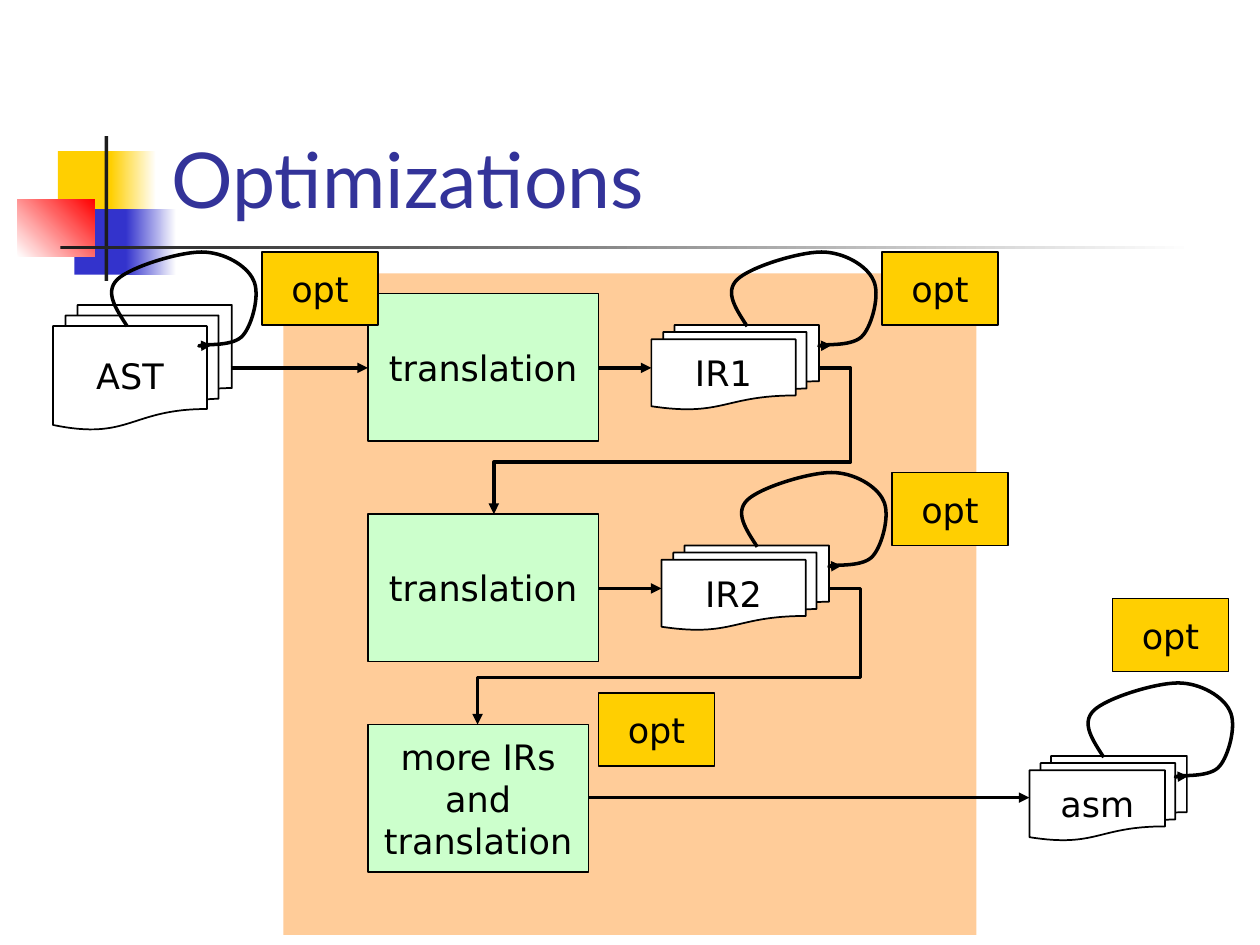
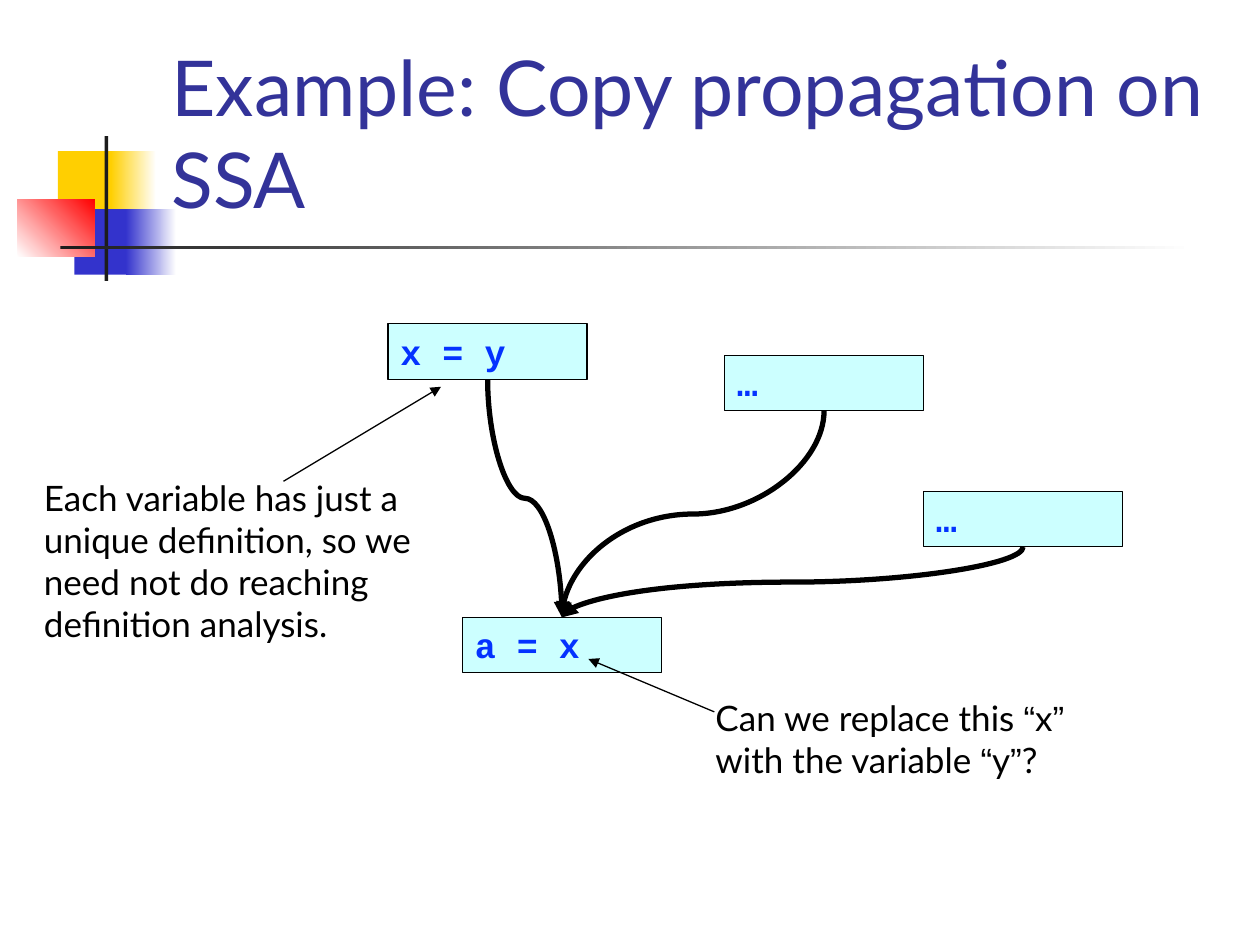
from dataclasses import dataclass
from typing import Any

from lxml.etree import SubElement
from pptx import Presentation
from pptx.dml.color import RGBColor
from pptx.enum.shapes import MSO_CONNECTOR, MSO_SHAPE
from pptx.enum.text import MSO_ANCHOR, MSO_AUTO_SIZE, PP_ALIGN
from pptx.oxml.ns import qn
from pptx.util import Inches, Pt

HUES = {
    "gold": "FFCF01", "blue": "3333CC", "red": "FF0000", "dark": "1C1C1C",
    "white": "FFFFFF", "black": "000000", "title": "333399",
    "panel": "FFCC99", "step": "CCFFCC", "code": "CCFFFF", "ink": "0432FF",
}
BODY, LABEL, MONO, QUOTE = "Lato", "DejaVu Sans", "Courier New", "Arial"

# Self-loop: start point, then three points for each Bezier piece
LOOP = [
    (0.18, 0.59),
    (0.09, 0.45), (0, 0.32), (0.1, 0.22),
    (0.2, 0.12), (0.59, 0), (0.77, 0),
    (0.95, 0), (1.13, 0.11), (1.18, 0.22),
    (1.24, 0.33), (1.17, 0.58), (1.1, 0.66),
    (1.03, 0.75), (0.81, 0.73), (0.77, 0.74),
    (0.73, 0.75), (0.79, 0.74), (0.85, 0.74),
]


def rgb(name):
    return RGBColor.from_string(HUES[name])


def write(frame, runs, hue, size=20, bold=False):
    """Fill the first paragraph with (text, font) runs."""
    para = frame.paragraphs[0]
    for text, face in runs:
        run = para.add_run()
        run.text = text
        run.font.name = face
        run.font.size = Pt(size)
        run.font.bold = bold
        run.font.color.rgb = rgb(hue)
    return para


def stroke(item, width, arrow=True):
    """Black line with an optional arrowhead at its end."""
    item.line.color.rgb = rgb("black")
    item.line.width = Pt(width)
    if arrow:
        SubElement(item.line._get_or_add_ln(), qn("a:tailEnd"), type="triangle")


@dataclass
class Area:
    """A region of a slide; all places are inches from its corner."""
    slide: Any
    left: float
    top: float

    def spot(self, x, y):
        return Inches(self.left + x), Inches(self.top + y)

    def shape(self, kind, x, y, w, h, fill=None, line=None):
        item = self.slide.shapes.add_shape(
            kind, *self.spot(x, y), Inches(w), Inches(h))
        item.shadow.inherit = False
        if fill:
            item.fill.solid()
            item.fill.fore_color.rgb = rgb(fill)
        else:
            item.fill.background()
        if line:
            stroke(item, line, arrow=False)
        else:
            item.line.fill.background()
        return item

    def fade(self, x, y, w, h, start, end, angle=0):
        item = self.shape(MSO_SHAPE.RECTANGLE, x, y, w, h)
        item.fill.gradient()
        item.fill.gradient_angle = angle
        for stop, hue, pos in zip(item.fill.gradient_stops, (start, end), (0, 1)):
            stop.color.rgb = rgb(hue)
            stop.position = pos

    def node(self, kind, text, x, y, w, h, fill=None):
        item = self.shape(kind, x, y, w, h, fill, 1)
        frame = item.text_frame
        frame.word_wrap = True
        frame.vertical_anchor = MSO_ANCHOR.MIDDLE
        write(frame, [(text, LABEL)], "black").alignment = PP_ALIGN.CENTER

    def note(self, x, y, w, h, runs):
        box = self.slide.shapes.add_textbox(
            *self.spot(x, y), Inches(w), Inches(h))
        box.text_frame.word_wrap = True
        write(box.text_frame, runs, "black")

    def link(self, start, end, width, kind=MSO_CONNECTOR.STRAIGHT):
        item = self.slide.shapes.add_connector(
            kind, *self.spot(*start), *self.spot(*end))
        stroke(item, width)
        SubElement(item._element.spPr, qn("a:effectLst"))
        return item

    def bend(self, start, end, *turns):
        """Elbow with two adjustable turns."""
        item = self.link(start, end, 2, MSO_CONNECTOR.ELBOW)
        geom = item._element.spPr.find(qn("a:prstGeom"))
        geom.set("prst", "bentConnector4")
        marks = geom.find(qn("a:avLst"))
        if marks is None:
            marks = SubElement(geom, qn("a:avLst"))
        for num, turn in enumerate(turns, 1):
            SubElement(marks, qn("a:gd"), name=f"adj{num}", fmla=f"val {turn}")

    def curve(self, start, end):
        """Curve that leaves and arrives vertically: a turned connector."""
        (x1, y1), (x2, y2) = start, end
        mid_x, mid_y = (x1 + x2) / 2, (y1 + y2) / 2
        side = 1 if x2 < x1 else -1
        dx, dy = side * (y2 - y1) / 2, abs(x2 - x1) / 2
        item = self.link((mid_x - dx, mid_y - dy), (mid_x + dx, mid_y + dy),
                         3, MSO_CONNECTOR.CURVE)
        turn = 90 if side == 1 else 270
        item._element.spPr.find(qn("a:xfrm")).set("rot", str(turn * 60000))

    def loop(self, x, y):
        dots = [self.spot(x + px, y + py) for px, py in LOOP]
        form = self.slide.shapes.build_freeform(*dots[0])
        form.add_line_segments(dots[1:], close=False)
        item = form.convert_to_shape()
        item.shadow.inherit = False
        item.fill.background()
        stroke(item, 2)
        # Join each three straight steps into one Bezier piece
        steps = list(item._element.iter(qn("a:lnTo")))
        for num in range(0, len(steps), 3):
            trio = steps[num:num + 3]
            piece = trio[0].makeelement(qn("a:cubicBezTo"))
            trio[0].addprevious(piece)
            for step in trio:
                piece.append(step[0])
                step.getparent().remove(step)


def decor(slide, layout):
    """Draw the colour blocks and rules, then share them on the layout."""
    area = Area(slide, 0.14, 1.08)
    count = len(slide.shapes)
    rect = MSO_SHAPE.RECTANGLE
    area.shape(rect, 0.32, 0.12, 0.48, 0.52, "gold")
    area.fade(0.74, 0.12, 0.36, 0.52, "gold", "white")
    area.shape(rect, 0.45, 0.58, 0.46, 0.52, "blue")
    area.fade(0.86, 0.58, 0.4, 0.52, "blue", "white")
    area.fade(0, 0.5, 0.61, 0.46, "white", "red", 45)
    area.shape(rect, 0.69, 0, 0.03, 1.15, "dark")
    area.fade(0.34, 0.87, 9, 0.03, "dark", "white")
    for item in list(slide.shapes)[count:]:
        layout.shapes._spTree.append(item._element)


def head(slide, text):
    """Title above the rule."""
    title = slide.shapes.title
    title.left, title.top = Inches(1.26), Inches(0.23)
    title.width, title.height = Inches(8.52), Inches(1.6)
    frame = title.text_frame
    frame.auto_size = MSO_AUTO_SIZE.NONE
    frame.word_wrap = True
    frame.vertical_anchor = MSO_ANCHOR.BOTTOM
    write(frame, [(text, BODY)], "title", 44).alignment = PP_ALIGN.LEFT


def flow(area):
    """Pipeline of translations with optimizations."""
    step, doc = MSO_SHAPE.FLOWCHART_PROCESS, MSO_SHAPE.FLOWCHART_MULTIDOCUMENT
    area.shape(MSO_SHAPE.RECTANGLE, 1.83, 0.17, 5.5, 5.25, "panel")

    # Translation steps
    for text, y, w in [("translation", 0.33, 1.83), ("translation", 2.08, 1.83),
                       ("more IRs and translation", 3.75, 1.75)]:
        area.node(step, text, 2.5, y, w, 1.17, "step")

    # Program forms
    for text, x, y, w, h, fill in [
            ("AST", 0, 0.42, 1.42, 0.99, None),
            ("IR1", 4.75, 0.58, 1.33, 0.67, "white"),
            ("IR2", 4.83, 2.33, 1.33, 0.67, "white"),
            ("asm", 7.75, 4, 1.25, 0.67, "white")]:
        area.node(doc, text, x, y, w, h, fill)

    # Arrows
    for x1, x2, y in [(1.41, 2.5, 0.92), (4.33, 4.75, 0.92),
                      (4.33, 4.83, 2.67), (4.25, 7.75, 4.33)]:
        area.link((x1, y), (x2, y), 2)
    area.bend((6.08, 0.92), (3.5, 2.08), -9700, 64300)
    area.bend((6.16, 2.67), (3.37, 3.75), -9000, 65400)

    # Optimization loops and labels
    for x, y in [(0.41, 0), (5.33, 0), (5.41, 1.75), (8.16, 3.42)]:
        area.loop(x, y)
    for x, y in [(1.66, 0), (6.58, 0), (6.66, 1.75), (8.41, 2.75), (4.33, 3.5)]:
        area.node(step, "opt", x, y, 0.92, 0.58, "gold")


def graph(area):
    """Definitions that reach one use, with remarks."""
    wide, high = 1.58, 0.44
    use = (3.42, 2.33)
    defs = [("x = y", 2.83, 0), ("…", 5.5, 0.25), ("…", 7.08, 1.33)]

    # Code boxes
    for text, x, y in [("a = x", *use), *defs]:
        item = area.shape(MSO_SHAPE.RECTANGLE, x, y, wide, high, "code", 0.75)
        frame = item.text_frame
        frame.word_wrap = True
        frame.vertical_anchor = MSO_ANCHOR.TOP
        para = write(frame, [(text, MONO)], "ink", bold=True)
        para.alignment = PP_ALIGN.LEFT

    # Curves into the use
    for _, x, y in defs:
        area.curve((x + wide / 2, y + high), (use[0] + wide / 2, use[1]))

    # Remarks with pointers
    area.note(5.33, 2.91, 3.25, 0.77, [
        ("Can we replace this ", BODY), ("“", QUOTE), ("x", BODY), ("”", QUOTE),
        (" with the variable ", BODY), ("“", QUOTE), ("y", BODY), ("”", QUOTE),
        ("?", BODY)])
    area.link((5.42, 3.08), (4.42, 2.66), 0.75)
    area.note(0, 1.16, 3.25, 1.43, [
        ("Each variable has just a unique definition, so we need not do "
         "reaching definition analysis.", BODY)])
    area.link((2, 1.25), (3.25, 0.5), 0.75)


def main():
    deck = Presentation()
    deck.slide_width, deck.slide_height = Inches(10), Inches(7.5)
    layout = deck.slide_layouts[5]

    first = deck.slides.add_slide(layout)
    decor(first, layout)
    head(first, "Optimizations")
    flow(Area(first, 0.42, 2))

    second = deck.slides.add_slide(layout)
    head(second, "Example: Copy propagation on SSA")
    graph(Area(second, 0.25, 2.57))

    deck.save("out.pptx")


if __name__ == "__main__":
    main()
